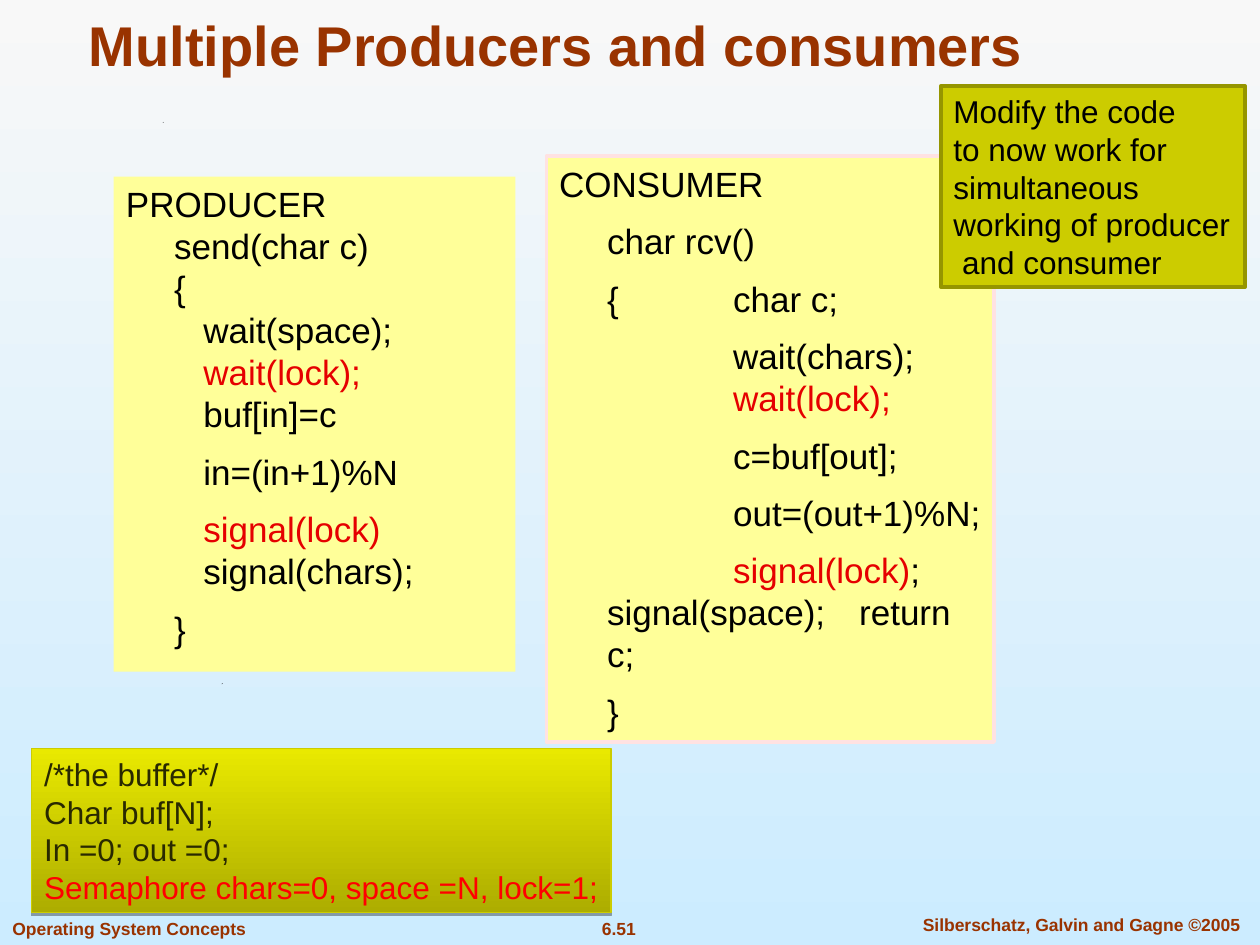
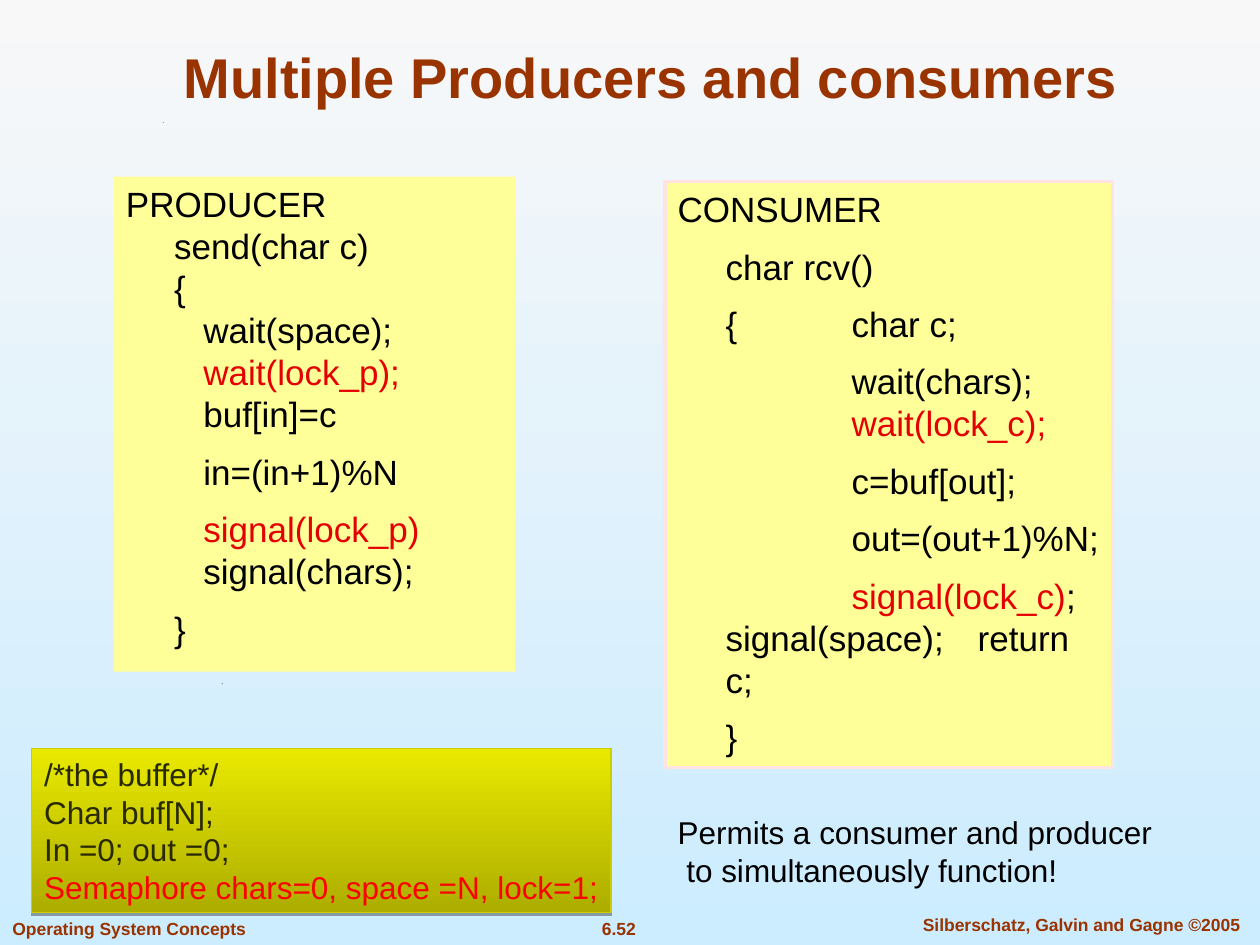
from lxml import etree
from pptx import Presentation
from pptx.dml.color import RGBColor
from pptx.enum.shapes import MSO_SHAPE
from pptx.enum.text import MSO_ANCHOR, MSO_AUTO_SIZE, PP_ALIGN
from pptx.oxml.ns import qn
from pptx.util import Cm, Pt

RECT = MSO_SHAPE.RECTANGLE
TOP, BOTTOM = MSO_ANCHOR.TOP, MSO_ANCHOR.BOTTOM
LEFT, CENTER = PP_ALIGN.LEFT, PP_ALIGN.CENTER
FIXED, GROW = MSO_AUTO_SIZE.NONE, MSO_AUTO_SIZE.SHAPE_TO_FIT_TEXT

BROWN, BLACK, RED = "993300", "000000", "E50000"
PALE, OLIVE = "FFFF99", "CCCC00"

# Left margin, first-line indent (cm) and space before (pt)
GAP = 8.8
HEAD = (0.97, -0.97, GAP)
BODY = (0.97, 0, GAP)
STEP = (1.56, 0, GAP)
TIGHT = (1.56, 0, 0)
DEEP = (3.51, 0, GAP)
LAST = (0.97, 2.54, GAP)

TITLE = "Multiple Producers and consumers"
BUFFER = ["/*the buffer*/\nChar buf[N];", "In =0; out =0;",
          "|Semaphore chars=0, space =N, lock=1;"]
TASK = ["Modify the code\nto now work for", "simultaneous",
        "working of producer", " and consumer"]
RESULT = ["Permits a consumer and producer", " to simultaneously function!"]


def rgb(code):
    return RGBColor.from_string(code)


def fade(fill, top, bottom):
    """Fill with a gradient that runs straight down."""
    fill.gradient()
    fill.gradient_angle = 270
    for stop, code in zip(fill.gradient_stops, (top, bottom)):
        stop.color.rgb = rgb(code)


def style(font, size, color, bold=False):
    look = {"name": "Arial", "size": Pt(size), "bold": bold}
    for key, value in look.items():
        setattr(font, key, value)
    font.color.rgb = rgb(color)


def indent(para, left, first, before):
    props = para._p.get_or_add_pPr()
    props.set("marL", str(Cm(left)))
    props.set("indent", str(Cm(first)))
    para.space_before = Pt(before)


def write(shape, lines, size, color=BLACK, accent=RED, bold=False,
          align=LEFT, anchor=TOP, wrap=True, dents=()):
    """Write one paragraph a line; bars switch the accent colour on and off."""
    frame = shape.text_frame
    look = {"word_wrap": wrap, "vertical_anchor": anchor,
            "auto_size": FIXED if wrap else GROW}
    for key, value in look.items():
        setattr(frame, key, value)
    for row, line in enumerate(lines):
        para = frame.add_paragraph() if row else frame.paragraphs[0]
        para.alignment = align
        if dents:
            indent(para, *dents[row])
        for turn, part in enumerate(line.split("|")):
            for step, text in enumerate(part.split("\n")):
                if step:
                    para.add_line_break()
                if text:
                    run = para.add_run()
                    run.text = text
                    style(run.font, size, accent if turn % 2 else color, bold)


def panel(slide, box, fill=None, line=None, width=2):
    shape = slide.shapes.add_shape(RECT, *map(Cm, box))
    shape.shadow.inherit = False
    if fill:
        shape.fill.solid()
        shape.fill.fore_color.rgb = rgb(fill)
    if line:
        shape.line.color.rgb = rgb(line)
        shape.line.width = Pt(width)
    else:
        shape.line.fill.background()
    return shape


def label(slide, box, lines, size, **look):
    write(slide.shapes.add_textbox(*map(Cm, box)), lines, size, **look)


def speck(slide, x, y):
    pen = slide.shapes.build_freeform(Cm(x), Cm(y))
    pen.add_line_segments([(Cm(x + 0.02), Cm(y - 0.02)),
                           (Cm(x + 0.01), Cm(y))])
    dot = pen.convert_to_shape()
    dot.shadow.inherit = False
    dot.fill.solid()
    dot.fill.fore_color.rgb = rgb(BLACK)
    dot.line.fill.background()


def frame(deck, number, x, y):
    """Start a slide with its footer and a title at x, y."""
    slide = deck.slides.add_slide(deck.slide_layouts[5])
    look = {"size": 10, "color": BROWN, "bold": True}
    label(slide, (11.23, 18.38, 2.49, 0.69), [number], align=CENTER,
          wrap=False, **look)
    label(slide, (18.03, 18.3, 7.54, 0.69),
          ["Silberschatz, Galvin and Gagne ©2005"], align=CENTER, **look)
    label(slide, (0, 18.38, 5.21, 0.69), ["Operating System Concepts"],
          wrap=False, **look)
    speck(slide, 4.47, 13.79)
    speck(slide, 3.28, 2.48)
    title = slide.shapes.title
    place = {"left": x, "top": y, "width": 22.43, "height": 1.7}
    for key, value in place.items():
        setattr(title, key, Cm(value))
    write(title, [TITLE], 32, BROWN, bold=True, align=CENTER, anchor=BOTTOM)
    return slide


def maker(slide, lock):
    """Draw the producer code."""
    lines = ["PRODUCER\nsend(char c)\n{",
             f"wait(space);\n|wait({lock});|\nbuf[in]=c",
             "in=(in+1)%N",
             f"|signal({lock})|\nsignal(chars);",
             "}"]
    shape = panel(slide, (2.29, 3.56, 8.1, 9.98), PALE)
    write(shape, lines, 20, dents=[HEAD, TIGHT, STEP, STEP, BODY])


def taker(slide, x, y, lock):
    """Draw the consumer code at x, y."""
    lines = ["CONSUMER", "char rcv()", "{\t\tchar c;",
             f"wait(chars);\n|wait({lock});",
             "c=buf[out];", "out=(out+1)%N;",
             f"|signal({lock})|;\tsignal(space);\treturn c;", "}"]
    shape = panel(slide, (x, y, 9.02, 11.81), PALE, "FFE2E2")
    write(shape, lines, 20,
          dents=[HEAD, BODY, BODY, DEEP, DEEP, DEEP, LAST, BODY])


def store(slide):
    """Draw the shared buffer with its shadow."""
    shape = panel(slide, (0.64, 15.09, 11.68, 3.3), line=OLIVE, width=0.75)
    fade(shape.fill, "E9E900", "ADAD00")
    effects = shape._element.spPr.find(qn("a:effectLst"))
    shade = etree.SubElement(effects, qn("a:outerShdw"), blurRad="0",
                             dist=str(Pt(1.8)), dir="5400000", rotWithShape="0")
    tint = etree.SubElement(shade, qn("a:srgbClr"), val=BLACK)
    etree.SubElement(tint, qn("a:alpha"), val="35000")
    write(shape, BUFFER, 18, "292900", "FF0000", wrap=False)


def main():
    deck = Presentation()
    deck.slide_width, deck.slide_height = Cm(25.4), Cm(19.05)
    fade(deck.slide_master.background.fill, "F8F8F8", "CCECFF")

    shared = frame(deck, "6.51", 0, 0)
    maker(shared, "lock")
    taker(shared, 11.02, 3.15, "lock")
    store(shared)
    note = panel(shared, (18.97, 1.73, 6.13, 4.06), OLIVE, "959500")
    write(note, TASK, 18, wrap=False)

    split = frame(deck, "6.52", 1.91, 0.64)
    maker(split, "lock_p")
    taker(split, 13.41, 3.66, "lock_c")
    store(split)
    label(split, (13.41, 16.26, 10.2, 1.78), RESULT, 18, wrap=False)

    deck.save("out.pptx")


if __name__ == "__main__":
    main()
